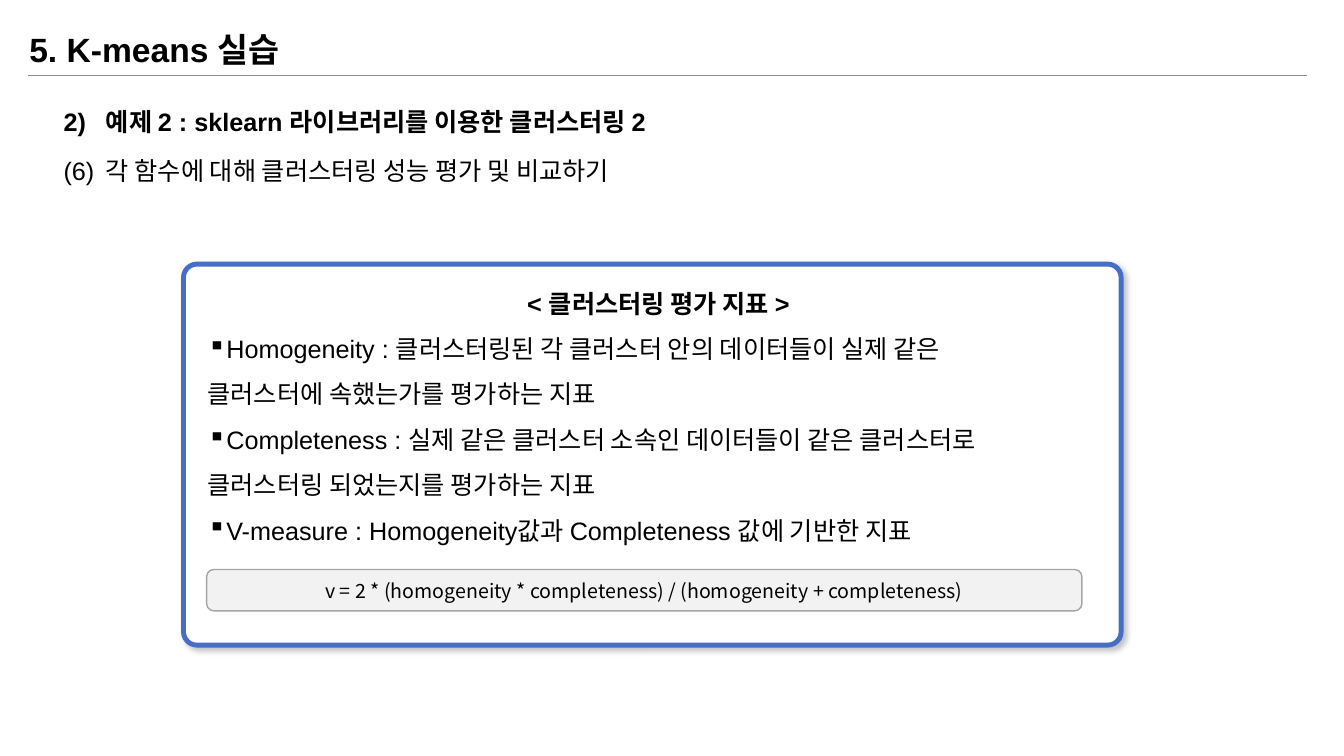
from lxml import etree
from pptx import Presentation
from pptx.dml.color import RGBColor
from pptx.enum.shapes import MSO_CONNECTOR, MSO_SHAPE
from pptx.enum.text import MSO_ANCHOR, MSO_AUTO_SIZE, PP_ALIGN
from pptx.oxml.ns import qn
from pptx.util import Inches, Pt

LEFT, CENTER = PP_ALIGN.LEFT, PP_ALIGN.CENTER
TOP, MIDDLE = MSO_ANCHOR.TOP, MSO_ANCHOR.MIDDLE
LATIN, KOREAN = "Arial", "Noto Sans CJK KR"
BLACK, WHITE, GRAY = "000000", "FFFFFF", "A5A5A5"
RULE, BLUE, PALE = "8C8C8C", "476EC5", "F2F2F2"

TITLE = "5. K-means 실습"
HEADINGS = [
    ("2)\t예제 2 : sklearn 라이브러리를 이용한 클러스터링 2", True),
    ("(6)\t각 함수에 대해 클러스터링 성능 평가 및 비교하기", False),
]
PANEL_TITLE = "< 클러스터링 평가 지표 >"
METRICS = [  # text, has bullet
    ("Homogeneity : 클러스터링된 각 클러스터 안의 데이터들이 실제 같은", True),
    ("클러스터에 속했는가를 평가하는 지표", False),
    ("Completeness : 실제 같은 클러스터 소속인 데이터들이 같은 클러스터로", True),
    ("클러스터링 되었는지를 평가하는 지표", False),
    ("V-measure : Homogeneity값과 Completeness 값에 기반한 지표", True),
]
FORMULA = "v = 2 * (homogeneity * completeness) / (homogeneity + completeness)"


def color(value):
    return RGBColor.from_string(value)


def place(shape, left, top, width, height):
    shape.left, shape.top = Inches(left), Inches(top)
    shape.width, shape.height = Inches(width), Inches(height)


def set_frame(shape, anchor, left=0.1, top=0.05, right=0.1, bottom=0.05):
    frame = shape.text_frame
    frame.word_wrap = True
    frame.auto_size = MSO_AUTO_SIZE.NONE
    frame.vertical_anchor = anchor
    frame.margin_left, frame.margin_top = Inches(left), Inches(top)
    frame.margin_right, frame.margin_bottom = Inches(right), Inches(bottom)
    return frame


def write(para, text, size, bold=False, align=LEFT, font=LATIN):
    para.text = text
    para.alignment = align
    para.space_before = Pt(0)
    for span in para.runs:
        span.font.size = Pt(size)
        span.font.bold = bold
        span.font.name = font
        span.font.color.rgb = color(BLACK)
        east_asian = etree.Element(qn("a:ea"), typeface=KOREAN)
        span.font._element.find(qn("a:latin")).addnext(east_asian)


def set_bullet(para, hanging, symbol=None):
    """Hang the first line by the given inches, with a bullet or with none."""
    properties = para._p.get_or_add_pPr()
    properties.set("marL", str(Inches(hanging)))
    properties.set("indent", str(-Inches(hanging)))
    if symbol:
        etree.SubElement(properties, qn("a:buChar"), char=symbol)
    else:
        etree.SubElement(properties, qn("a:buNone"))


def add_rounded(page, position, fill, line, width, radius):
    box = page.shapes.add_shape(
        MSO_SHAPE.ROUNDED_RECTANGLE, *[Inches(length) for length in position])
    box.adjustments[0] = radius
    box.fill.solid()
    box.fill.fore_color.rgb = color(fill)
    box.line.color.rgb = color(line)
    box.line.width = Pt(width)
    box.shadow.inherit = False
    return box


def add_soft_shadow(shape):
    effects = shape._element.spPr.find(qn("a:effectLst"))
    shadow = etree.SubElement(
        effects, qn("a:outerShdw"), blurRad=str(Pt(4)), dist=str(Pt(3)),
        dir=str(45 * 60000), algn="tl", rotWithShape="0")
    tint = etree.SubElement(shadow, qn("a:srgbClr"), val=BLACK)
    etree.SubElement(tint, qn("a:alpha"), val="23000")


def add_title(page):
    title = page.shapes.title
    place(title, 0.19, 0.24, 13.14, 0.5)
    write(set_frame(title, TOP).paragraphs[0], TITLE, 24, bold=True)

    rule = page.shapes.add_connector(
        MSO_CONNECTOR.STRAIGHT,
        Inches(0.28), Inches(0.75), Inches(12.96), Inches(0.75))
    rule.line.color.rgb = color(RULE)
    rule.line.width = Pt(0.5)
    etree.SubElement(rule._element.spPr, qn("a:effectLst"))


def add_headings(page):
    body = page.placeholders[1]
    place(body, 0.53, 1, 8, 0.91)
    frame = set_frame(body, TOP)
    for index, (text, bold) in enumerate(HEADINGS):
        para = frame.add_paragraph() if index else frame.paragraphs[0]
        write(para, text, 18, bold)
        para.space_before = Pt(14 * index)
        set_bullet(para, 0.42)


def add_panel(page):
    panel = add_rounded(page, (1.82, 2.62, 9.3, 3.78), WHITE, BLUE, 3.5, 0.035)
    add_soft_shadow(panel)
    frame = set_frame(panel, TOP, left=0.2, top=0.05, right=0.08, bottom=0)
    write(frame.paragraphs[0], PANEL_TITLE, 18, bold=True, align=CENTER)
    for text, bulleted in METRICS:
        para = frame.add_paragraph()
        write(para, text, 18)
        if bulleted:
            set_bullet(para, 0.16, "▪")
    for para in frame.paragraphs:
        para.line_spacing = 1.5

    formula = add_rounded(page, (2.05, 5.65, 8.68, 0.41), PALE, GRAY, 1, 0.17)
    write(set_frame(formula, MIDDLE).paragraphs[0], FORMULA, 14,
          align=CENTER, font=KOREAN)


def main():
    deck = Presentation()
    deck.slide_width, deck.slide_height = Inches(13.33), Inches(7.5)
    page = deck.slides.add_slide(deck.slide_layouts[1])
    add_title(page)
    add_headings(page)
    add_panel(page)
    deck.save("out.pptx")


if __name__ == "__main__":
    main()
